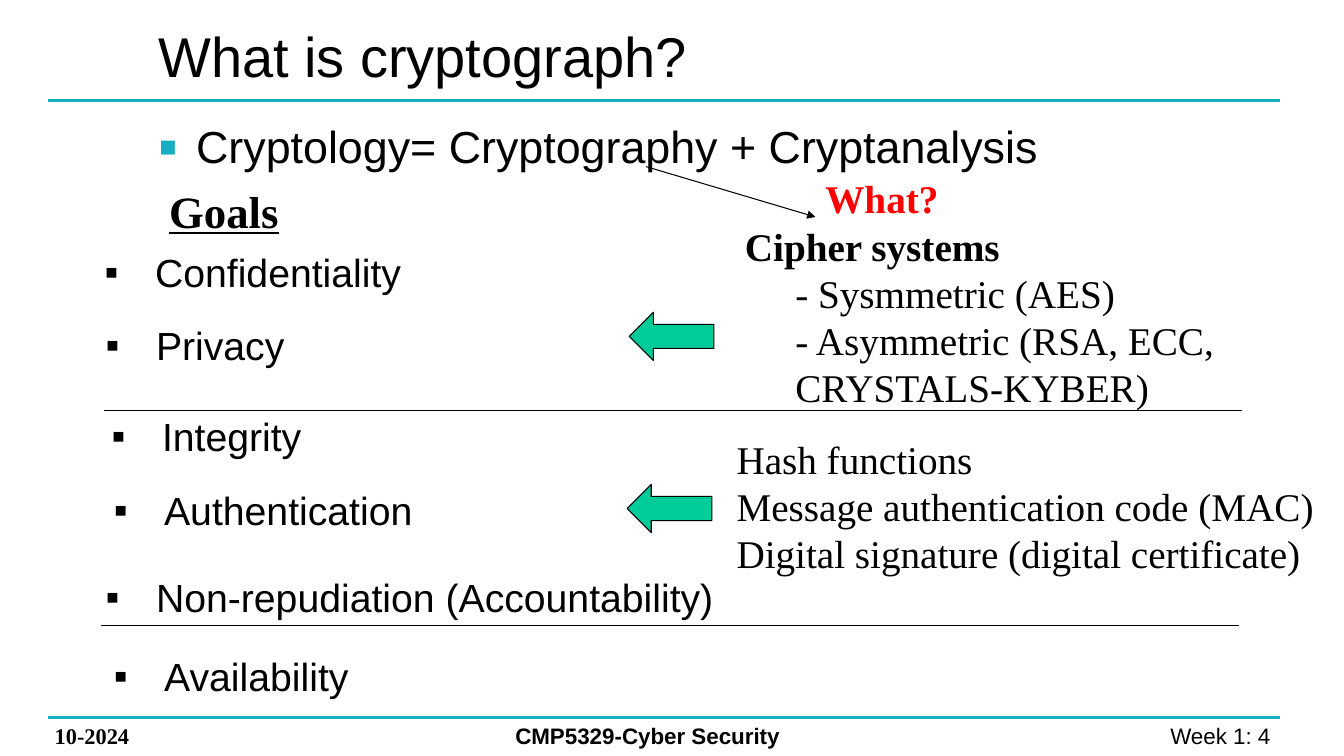
from dataclasses import dataclass

from lxml.etree import SubElement
from pptx import Presentation
from pptx.dml.color import RGBColor
from pptx.enum.shapes import MSO_CONNECTOR, MSO_SHAPE
from pptx.enum.text import MSO_ANCHOR, MSO_AUTO_SIZE, PP_ALIGN
from pptx.oxml.ns import qn
from pptx.util import Pt


@dataclass(frozen=True)
class Theme:
    sans: str = "Arial"
    serif: str = "Times New Roman"
    black: RGBColor = RGBColor(0x00, 0x00, 0x00)
    accent: RGBColor = RGBColor(0x16, 0xAF, 0xC2)
    arrow: RGBColor = RGBColor(0x00, 0xCC, 0x99)
    alert: RGBColor = RGBColor(0xFF, 0x00, 0x00)
    title: int = 40
    heading: int = 32
    body: int = 28
    footer: int = 16
    rule: float = 2.25
    hairline: float = 0.75


THEME = Theme()


# Building blocks
def add_text(slide, box, lines, size, font=THEME.sans, color=THEME.black,
             bold=False, wrap=True, fit=True):
    """Place lines of text in a (left, top, width, height) box."""
    shape = slide.shapes.add_textbox(*map(Pt, box))
    text_frame = shape.text_frame
    text_frame.text = "\n".join(lines)
    text_frame.word_wrap = wrap
    text_frame.auto_size = MSO_AUTO_SIZE.SHAPE_TO_FIT_TEXT if fit else MSO_AUTO_SIZE.NONE
    for paragraph in text_frame.paragraphs:
        for run in paragraph.runs:
            run.font.name = font
            run.font.size = Pt(size)
            run.font.bold = bold
            run.font.color.rgb = color
    return text_frame


def indent(paragraph, left, first=0):
    properties = paragraph._p.get_or_add_pPr()
    properties.set("marL", str(Pt(left)))
    properties.set("indent", str(Pt(first)))
    return properties


def add_bullet(paragraph, hanging, color=None, percent=None):
    properties = indent(paragraph, hanging, -hanging)
    if color is not None:
        bullet_color = SubElement(properties, qn("a:buClr"))
        SubElement(bullet_color, qn("a:srgbClr"), val=str(color))
    if percent is not None:
        SubElement(properties, qn("a:buSzPct"), val=str(percent * 1000))
    SubElement(properties, qn("a:buFont"), typeface=THEME.sans)
    SubElement(properties, qn("a:buChar"), char="▪")


def add_line(slide, start, end, color=THEME.black, width=THEME.hairline, arrowhead=False):
    line = slide.shapes.add_connector(
        MSO_CONNECTOR.STRAIGHT, *map(Pt, (*start, *end)))
    line.line.color.rgb = color
    line.line.width = Pt(width)
    if arrowhead:
        SubElement(line.line._get_or_add_ln(), qn("a:tailEnd"), type="triangle")
    SubElement(line._element.spPr, qn("a:effectLst"))


def add_left_arrow(slide, box):
    arrow = slide.shapes.add_shape(MSO_SHAPE.LEFT_ARROW, *map(Pt, box))
    arrow.shadow.inherit = False
    arrow.fill.solid()
    arrow.fill.fore_color.rgb = THEME.arrow
    arrow.line.color.rgb = THEME.black
    arrow.line.width = Pt(THEME.hairline)


# Slide regions
def add_header(slide, box):
    left, top, width, height = box
    add_line(slide, (left, top + height), (left + width, top + height),
             THEME.accent, THEME.rule)
    title = add_text(slide, (left + 72, top, 524, height - 1),
                     ["What is cryptograph?"], THEME.title, fit=False)
    title.vertical_anchor = MSO_ANCHOR.MIDDLE


def add_footer(slide, box):
    left, top, width, height = box
    add_line(slide, (left, top), (left + width, top), THEME.accent, THEME.rule)
    add_text(slide, (left - 2, top, 128, height), ["10-2024"],
             THEME.footer, THEME.serif, bold=True)
    add_text(slide, (left + 327, top, 294, height), ["CMP5329-Cyber Security"],
             THEME.footer, bold=True)
    week = add_text(slide, (left + width - 207, top, 212, height), ["Week 1: 4 "],
                    THEME.footer)
    week.paragraphs[0].alignment = PP_ALIGN.RIGHT


def add_statement(slide, box):
    left, top = box[:2]
    statement = add_text(slide, box, ["Cryptology= Cryptography + Cryptanalysis"],
                         THEME.heading, fit=False)
    add_bullet(statement.paragraphs[0], 27, THEME.accent, 125)
    add_line(slide, (left + 355.5, top + 37.5), (left + 476.5, top + 73.5), arrowhead=True)
    add_text(slide, (left + 476.5, top + 39.5, 96.5, 41), ["What?"], THEME.body,
             THEME.serif, THEME.alert, bold=True, wrap=False)


def add_goals(slide, box):
    left, top, width, height = box
    heading = add_text(slide, (left + 46, top, 94, 46), ["Goals"], THEME.heading,
                       THEME.serif, bold=True, wrap=False)
    heading.paragraphs[0].runs[0].font.underline = True
    goals = [  # name, offset from the left and top of the region, width
        ("Confidentiality", 0, 46.5, 229),
        ("Privacy", 0.7, 98.5, 144),
        ("Integrity", 5, 163.5, 152),
        ("Authentication", 6.5, 216.5, 230.5),
        ("Non-repudiation (Accountability)", 0.7, 278.5, 456),
        ("Availability", 6.5, 335, 184),
    ]
    for name, across, down, goal_width in goals:
        goal = add_text(slide, (left + across, top + down, goal_width, 41), [name],
                        THEME.body, wrap=False)
        add_bullet(goal.paragraphs[0], 36)
    # Dividers between the groups of goals
    for across, down in ((6.5, 165.5), (4.5, 319.5)):
        start = left + across
        add_line(slide, (start, top + down), (start + width, top + down))


def add_cipher_systems(slide, box):
    left, top, width, height = box
    systems = add_text(slide, box, ["Cipher systems", "- Sysmmetric (AES)",
                                    "- Asymmetric (RSA, ECC, CRYSTALS-KYBER)"],
                       THEME.body, THEME.serif)
    systems.paragraphs[0].runs[0].font.bold = True
    for paragraph in systems.paragraphs[1:]:
        paragraph.level = 1
        indent(paragraph, 36)
    add_left_arrow(slide, (left - 75.5, top + 68, 60.5, 34.5))


def add_integrity_tools(slide, box):
    left, top = box[:2]
    add_text(slide, box, ["Hash functions", "Message authentication code (MAC)",
                          "Digital signature (digital certificate)"],
             THEME.body, THEME.serif)
    add_left_arrow(slide, (left - 71, top + 38.5, 60.5, 34.5))


def main():
    presentation = Presentation()
    presentation.slide_width, presentation.slide_height = Pt(960), Pt(540)
    slide = presentation.slides.add_slide(presentation.slide_layouts[6])
    add_header(slide, (34, 8, 880, 63.5))
    add_footer(slide, (34, 512.5, 880, 26.5))
    add_statement(slide, (106, 81.5, 646, 391))
    add_goals(slide, (67.7, 127.5, 813, 376))
    add_cipher_systems(slide, (525, 155, 428.5, 143))
    add_integrity_tools(slide, (519, 307.5, 456, 109))
    presentation.save("out.pptx")


if __name__ == "__main__":
    main()
